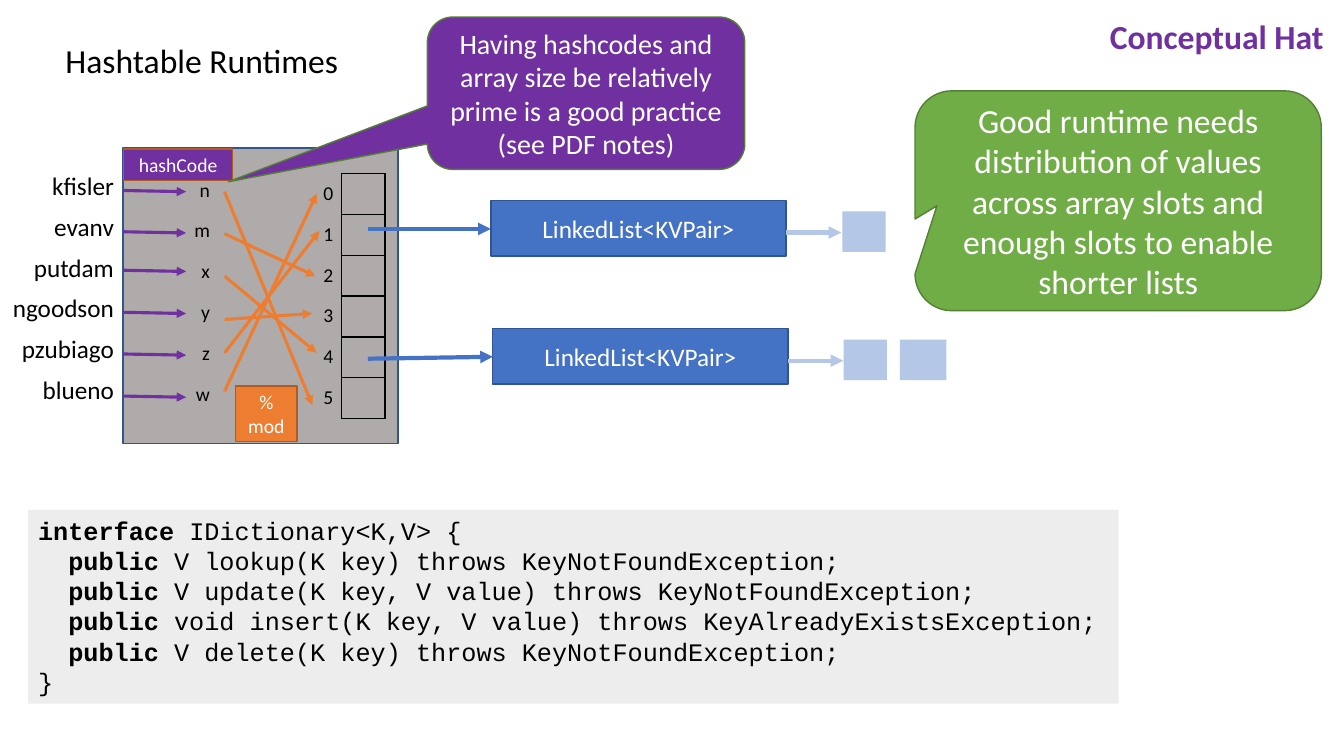
"""Build the Hashtable Runtimes slide."""
from dataclasses import dataclass

from lxml import etree
from pptx import Presentation
from pptx import util as u
from pptx.dml import color
from pptx.enum import shapes, text
from pptx.oxml import ns

COLOURS = {
    "black": "000000", "white": "FFFFFF", "purple": "7030A0", "green": "70AD47",
    "dark green": "538035", "blue": "4472C4", "dark blue": "325491", "pale blue": "B4C7E7",
    "orange": "ED7D31", "dark orange": "AF5C24", "grey": "AFABAB", "pale grey": "EDEDED",
}
LEFT, CENTRE, RIGHT = text.PP_ALIGN.LEFT, text.PP_ALIGN.CENTER, text.PP_ALIGN.RIGHT
RECTANGLE = shapes.MSO_SHAPE.RECTANGLE
CALLOUT = shapes.MSO_SHAPE.ROUNDED_RECTANGULAR_CALLOUT
PLAIN_TABLE = {"first_row": False, "horz_banding": False}
ROW_HEIGHT = 1.03


@dataclass
class Box:
    left: float
    top: float
    width: float
    height: float
    fill: str
    outline: str = ""
    lines: tuple = ()
    size: float = 18
    pointer: tuple = ()


@dataclass
class Arrow:
    start: tuple
    end: tuple
    colour: str
    weight: float = 2.25


@dataclass
class Column:
    left: float
    top: float
    width: float
    entries: tuple
    size: float = 18
    side_margin: float = 0.25
    border: str = ""


def rgb(name: str) -> color.RGBColor:
    return color.RGBColor.from_string(COLOURS[name])


def write(frame, lines: tuple, size: float, colour: str, align, font="Calibri") -> None:
    """Write lines, each a string or a pair of bold and regular strings."""
    for number, line in enumerate(lines):
        paragraph = frame.paragraphs[0] if number == 0 else frame.add_paragraph()
        paragraph.alignment = align
        bold, regular = line if isinstance(line, tuple) else ("", line)
        for wording, weight in ((bold, True), (regular, False)):
            if wording:
                run = paragraph.add_run()
                run.text = wording
                run.font.color.rgb = rgb(colour)
                look = {"name": font, "size": u.Pt(size), "bold": weight}
                for key, value in look.items():
                    setattr(run.font, key, value)


def draw_box(slide, box: Box):
    preset = CALLOUT if box.pointer else RECTANGLE
    place = map(u.Cm, (box.left, box.top, box.width, box.height))
    shape = slide.shapes.add_shape(preset, *place)
    shape.shadow.inherit = False
    shape.fill.solid()
    shape.fill.fore_color.rgb = rgb(box.fill)
    if box.outline:
        shape.line.color.rgb = rgb(box.outline)
        shape.line.width = u.Pt(1)
    else:
        shape.line.fill.background()
    for number, value in enumerate(box.pointer):
        shape.adjustments[number] = value
    shape.text_frame.vertical_anchor = text.MSO_ANCHOR.MIDDLE
    write(shape.text_frame, box.lines, box.size, "white", CENTRE)
    return shape


def draw_arrow(slide, arrow: Arrow) -> None:
    ends = map(u.Cm, arrow.start + arrow.end)
    connector = slide.shapes.add_connector(shapes.MSO_CONNECTOR.STRAIGHT, *ends)
    connector.line.color.rgb = rgb(arrow.colour)
    connector.line.width = u.Pt(arrow.weight)
    properties = connector._element.spPr
    etree.SubElement(properties.find(ns.qn("a:ln")), ns.qn("a:tailEnd"), type="triangle")
    etree.SubElement(properties, ns.qn("a:effectLst"))


def draw_borders(cell, colour: str) -> None:
    properties = cell._tc.get_or_add_tcPr()
    for position, side in enumerate(("lnL", "lnR", "lnT", "lnB")):
        line = etree.Element(ns.qn(f"a:{side}"), w=str(u.Pt(1)))
        if colour:
            paint = etree.SubElement(line, ns.qn("a:solidFill"))
            etree.SubElement(paint, ns.qn("a:srgbClr"), val=COLOURS[colour])
        else:
            etree.SubElement(line, ns.qn("a:noFill"))
        properties.insert(position, line)


def draw_column(slide, column: Column) -> None:
    count = len(column.entries)
    place = map(u.Cm, (column.left, column.top, column.width, ROW_HEIGHT * count))
    table = slide.shapes.add_table(count, 1, *place).table
    for key, value in PLAIN_TABLE.items():
        setattr(table, key, value)
    margin = u.Cm(column.side_margin)
    for number, entry in enumerate(column.entries):
        table.rows[number].height = u.Cm(ROW_HEIGHT)
        cell = table.cell(number, 0)
        for key, value in {"margin_left": margin, "margin_right": margin}.items():
            setattr(cell, key, value)
        cell.fill.background()
        draw_borders(cell, column.border)
        write(cell.text_frame, (entry,), column.size, "black", RIGHT)


def draw_heading(slide, place: tuple, wording, colour: str, align) -> None:
    heading = slide.shapes.add_textbox(*map(u.Cm, place))
    heading.text_frame.word_wrap = False
    write(heading.text_frame, (wording,), 24, colour, align)


deck = Presentation()
deck.slide_width, deck.slide_height = u.Cm(33.87), u.Cm(19.05)
slide = deck.slides.add_slide(deck.slide_layouts[6])

draw_heading(slide, (1.4, 0.89, 7.47, 1.27), "Hashtable Runtimes", "black", LEFT)
draw_heading(slide, (27.64, 0.28, 5.97, 1.27), ("Conceptual Hat", ""), "purple", RIGHT)

runtime_advice = ("Good runtime needs distribution of values across array slots "
                  "and enough slots to enable shorter lists",)
draw_box(slide, Box(23.06, 2.29, 10.24, 5.54, "green", "dark green", runtime_advice, 24,
                    (-0.446, 0.023, 0.167)))

for left, top in ((12.37, 5.05), (12.42, 8.28)):
    draw_box(slide, Box(left, top, 7.44, 1.4, "blue", "dark blue", ("LinkedList<KVPair>",)))
    link_y = top + 0.81
    draw_arrow(slide, Arrow((left + 7.44, link_y), (left + 8.83, link_y), "pale blue", 3))
for left, top, width in ((21.23, 5.33, 1.09), (21.26, 8.56, 1.09), (22.68, 8.56, 1.17)):
    draw_box(slide, Box(left, top, width, 1.02, "pale blue"))

METHODS = (
    "V lookup(K key) throws KeyNotFoundException;",
    "V update(K key, V value) throws KeyNotFoundException;",
    "void insert(K key, V value) throws KeyAlreadyExistsException;",
    "V delete(K key) throws KeyNotFoundException;",
)
code = (("interface", " IDictionary<K,V> {"),
        *(("  public", f" {method}") for method in METHODS), "}")
listing = draw_box(slide, Box(0.71, 12.85, 27.48, 4.88, "pale grey"))
listing.text_frame.vertical_anchor = text.MSO_ANCHOR.TOP
write(listing.text_frame, code, 18, "black", LEFT, "Courier New")

draw_box(slide, Box(3.1, 3.73, 6.93, 7.44, "grey", "dark blue"))
keys = ("kfisler", "evanv", "putdam", "ngoodson", "pzubiago", "blueno")
for column in (
    Column(8.61, 4.37, 1.09, ("",) * 6, border="black"),
    Column(7.92, 4.45, 0.58, tuple("012345"), 14, 0.1),
    Column(-0.41, 4.19, 3.53, keys),
    Column(4.65, 4.37, 0.89, tuple("nmxyzw"), 14),
):
    draw_column(slide, column)

MOD_ARROWS = (
    (4.83, (7.87, 10.21)), (5.89, (7.95, 6.96)), (6.96, (7.98, 8.89)),
    (8.05, (7.87, 7.9)), (9.86, (7.98, 4.88)), (8.89, (8.05, 5.82)),
)
for start_y, slot in MOD_ARROWS:
    draw_arrow(slide, Arrow((5.66, start_y), slot, "orange"))
for key_y in (4.8, 5.84, 6.81, 7.87, 8.92, 9.98):
    draw_arrow(slide, Arrow((3.11, key_y), (4.69, key_y + 0.03), "purple"))

draw_box(slide, Box(5.94, 9.73, 1.55, 1.4, "orange", "dark orange", ("%", "mod"), 14))
draw_box(slide, Box(3.12, 3.76, 2.74, 0.79, "purple", "dark orange", ("hashCode",), 14))
for slot_y, list_end in ((5.77, (12.37, 5.77)), (9.04, (12.42, 8.99))):
    draw_arrow(slide, Arrow((9.27, slot_y), list_end, "blue", 3))

prime_advice = ("Having hashcodes and array size be relatively prime is a good practice "
                "(see PDF notes)",)
draw_box(slide, Box(10.77, 0.43, 8, 3.84, "purple", "dark green", prime_advice, 20,
                    (-1.127, 0.581, 0.167)))

deck.save("out.pptx")
